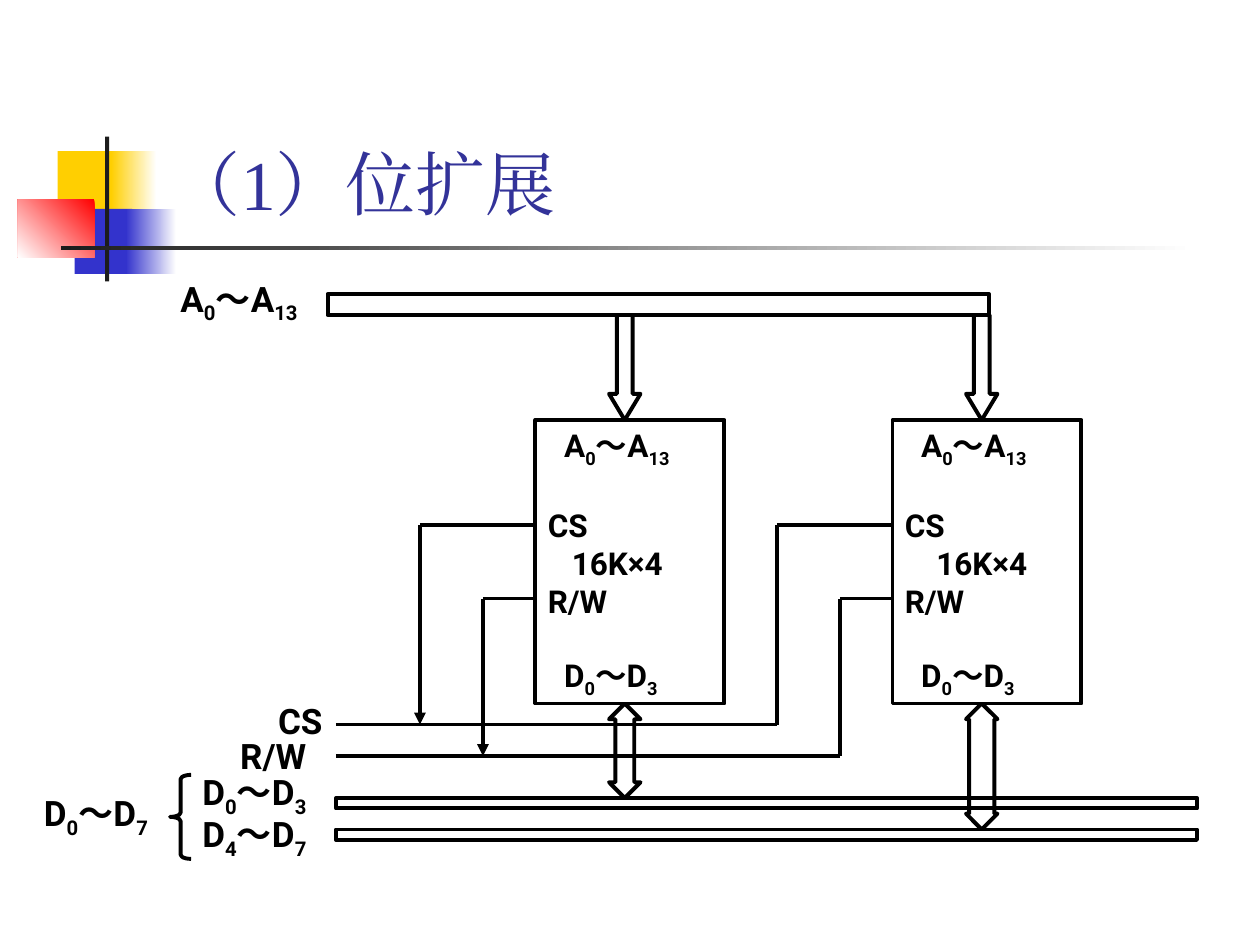
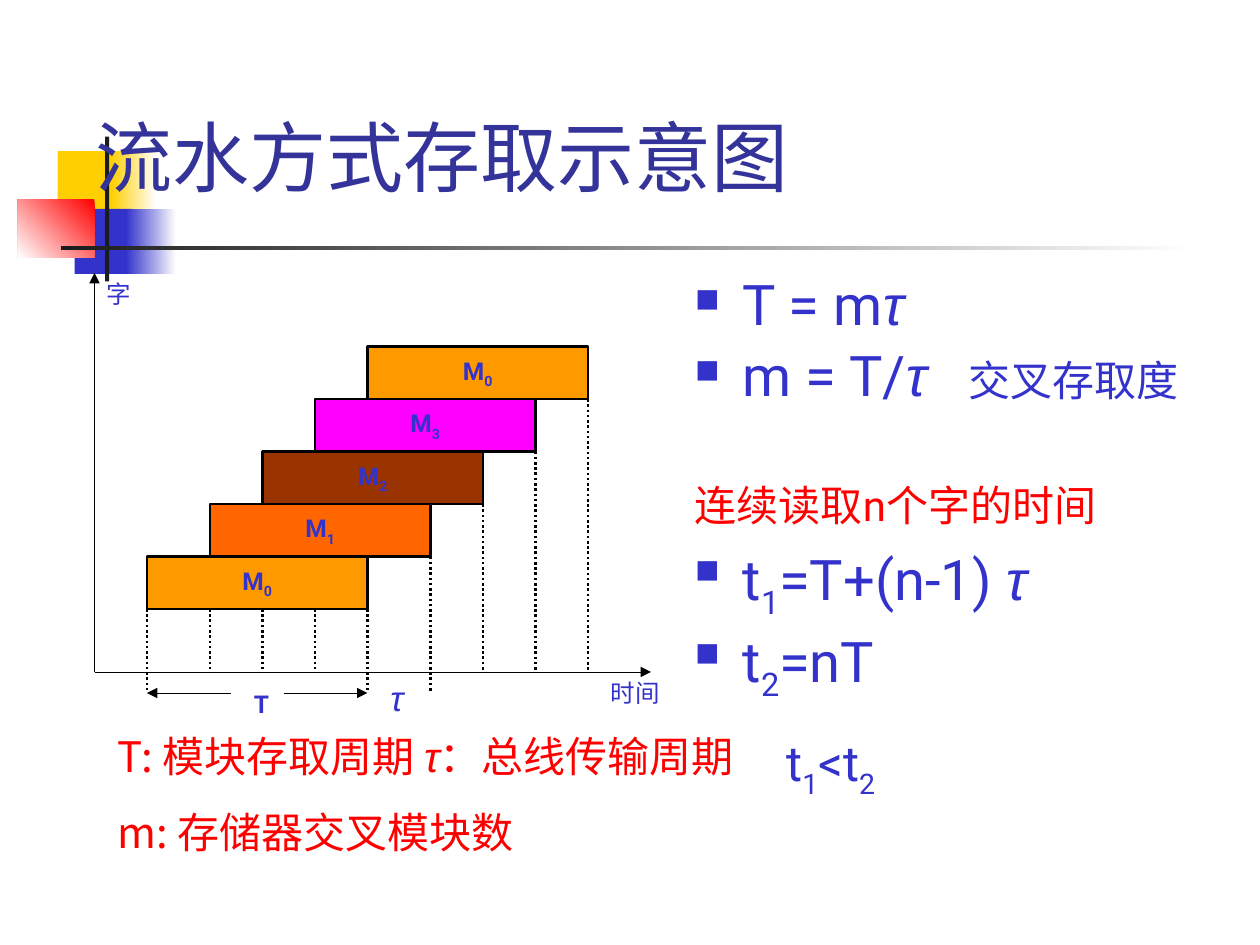
from lxml import etree
from pptx import Presentation
from pptx.dml.color import RGBColor
from pptx.enum.dml import MSO_LINE
from pptx.enum.shapes import MSO_CONNECTOR, MSO_SHAPE
from pptx.enum.text import MSO_ANCHOR, PP_ALIGN
from pptx.oxml.ns import qn
from pptx.util import Inches, Pt

RECT, DOWN, UP_DOWN = MSO_SHAPE.RECTANGLE, MSO_SHAPE.DOWN_ARROW, MSO_SHAPE.UP_DOWN_ARROW
BRACE, LINE, TEXT = MSO_SHAPE.LEFT_BRACE, "line", "text"
TOP, MIDDLE, BOTTOM = MSO_ANCHOR.TOP, MSO_ANCHOR.MIDDLE, MSO_ANCHOR.BOTTOM
CENTER, DOTTED = PP_ALIGN.CENTER, MSO_LINE.ROUND_DOT

COLORS = {
    "black": "000000", "white": "FFFFFF", "ink": "1C1C1C", "title": "333399",
    "blue": "3333CC", "yellow": "FFCF01", "red": "FF0000", "orange": "FF9900",
    "deep orange": "FF6600", "brown": "993300", "magenta": "FF00FF",
}
CELL = Inches(1) / 12  # the slide is a grid of 120 columns and 90 rows

prs = Presentation()
prs.slide_width, prs.slide_height = int(120 * CELL), int(90 * CELL)


def draw(slide, kind, x, y, w, h, fill=None, fade=None, angle=180, line=None,
         dash=None, arrow=False, adjust=()):
    """Place a shape or text box at x, y with size w, h; a line runs by w, h."""
    x, y, w, h = (round(n * CELL) for n in (x, y, w, h))
    if kind == TEXT:
        return slide.shapes.add_textbox(x, y, w, h)
    if kind == LINE:
        item = slide.shapes.add_connector(MSO_CONNECTOR.STRAIGHT, x, y, x + w, y + h)
        etree.SubElement(item._element.spPr, qn("a:effectLst"))
    else:
        item = slide.shapes.add_shape(kind, x, y, w, h)
        item.shadow.inherit = False
        for i, value in enumerate(adjust):
            item.adjustments[i] = value
        if fade:
            item.fill.gradient()
            item.fill.gradient_angle = angle
            for stop, name in zip(item.fill.gradient_stops, fade):
                stop.color.rgb = RGBColor.from_string(COLORS[name])
        elif fill:
            item.fill.solid()
            item.fill.fore_color.rgb = RGBColor.from_string(COLORS[fill])
        else:
            item.fill.background()
    if line:
        item.line.color.rgb = RGBColor.from_string(COLORS["black"])
        item.line.width = Pt(line)
        if dash:
            item.line.dash_style = dash
        if arrow:
            etree.SubElement(item.line._get_or_add_ln(), qn("a:tailEnd"), type="triangle")
    else:
        item.line.fill.background()
    return item


def write(place, text, size=20, color="black", font="Roboto", bold=False, align=None,
          anchor=TOP, before=0, spacing=None, indent=0, bullet=False, tail=""):
    """Add one paragraph; _x_ is a subscript, τ is italic, tail is smaller text."""
    frame = place.text_frame
    frame.word_wrap, frame.vertical_anchor = True, anchor
    para = frame.add_paragraph() if frame.text else frame.paragraphs[0]
    para.alignment = align or PP_ALIGN.LEFT
    para.space_before = Pt(before)
    if spacing:
        para.line_spacing = spacing
    props = para._p.get_or_add_pPr()
    props.set("marL", str(Inches(indent)))
    props.set("indent", str(Inches(-indent if bullet else 0)))
    if bullet:
        tint = etree.SubElement(props, qn("a:buClr"))
        etree.SubElement(tint, qn("a:srgbClr"), val=COLORS["blue"])
        etree.SubElement(props, qn("a:buSzPct"), val="60000")
        etree.SubElement(props, qn("a:buChar"), char="■")
    pieces = [(piece, size, i % 2) for i, part in enumerate(text.split("_"))
              for piece in part.replace("τ", "|τ|").split("|")]
    for piece, points, lowered in pieces + [(tail, 24, 0)]:
        if not piece:
            continue
        run = para.add_run()
        run.text = piece
        run.font.size, run.font.bold = Pt(points), bold
        run.font.italic = piece == "τ"
        run.font.name = "Arial" if piece == "τ" else font
        run.font.color.rgb = RGBColor.from_string(COLORS[color])
        run_props = run._r.get_or_add_rPr()
        etree.SubElement(run_props, qn("a:ea"), typeface=run.font.name)
        if lowered:
            run_props.set("baseline", "-25000")


# Shared decoration and titles
TITLES = [
    ("（1）位扩展", (15.1, 2.8, 102.2, 19.2), 40, "Times New Roman", BOTTOM),
    ("流水方式存取示意图", (7.9, 6.8, 105, 16), 44, "Roboto", MIDDLE),
]
DECORATION = [
    ((5.5, 14.4, 5.8, 6.2), {"fill": "yellow"}),
    ((10.6, 14.4, 4.3, 6.2), {"fade": ("white", "yellow")}),
    ((7.1, 19.9, 5.5, 6.2), {"fill": "blue"}),
    ((12, 19.9, 4.8, 6.2), {"fade": ("white", "blue")}),
    ((1.7, 19, 7.3, 5.5), {"fade": ("red", "white"), "angle": 225}),
    ((10, 13, 0.4, 13.8), {"fill": "ink"}),
    ((5.8, 23.4, 108, 0.4), {"fade": ("white", "ink")}),
]
slides = []
for title, title_box, size, font, anchor in TITLES:
    slide = prs.slides.add_slide(prs.slide_layouts[6])
    for area, paint in DECORATION:
        draw(slide, RECT, *area, **paint)
    write(draw(slide, TEXT, *title_box), title, size=size, color="title", font=font,
          anchor=anchor)
    slides.append(slide)
expansion, pipeline = slides

# Slide 1: two memory chips with their address and data arrows
CHIPS = [(51, 0.19, 9, 0.6), (85, 0.25, 12, 0.8)]  # column, indent, arrow height, head
for column, capacity_indent, reach, head in CHIPS:
    chip = draw(expansion, RECT, column, 40, 18, 27, line=2.25)
    for pin, indent, before in [("A_0_～A_13_", 0.13, 0), ("CS", 0, 21),
                                ("16K×4", capacity_indent, 0), ("R/W", 0, 0),
                                ("D_0_～D_3_", 0.13, 21)]:
        write(chip, pin, size=18, bold=True, indent=indent, before=before)
    draw(expansion, DOWN, column + 7, 30, 3, 10, line=2.25, adjust=(0.5, 0.83))
    draw(expansion, UP_DOWN, column + 7, 67, 3, reach, line=2.25, adjust=(0.5, head))

# Address bus and the two halves of the data bus
for bus in [(31.2, 28, 63, 2), (32, 76, 82, 1), (32, 79, 82, 1)]:
    draw(expansion, RECT, *bus, line=2.25)

# Control wires: pin row, bus row, first drop column, second drop column
for pin_row, bus_row, first_drop, second_drop in [(50, 69, 40, 74), (57, 72, 46, 80)]:
    depth = bus_row - pin_row
    draw(expansion, LINE, 32, bus_row, second_drop - 32, 0, line=2.25)
    for drop, chip_column, arrow in [(first_drop, 51, True), (second_drop, 85, False)]:
        draw(expansion, LINE, drop, pin_row, chip_column - drop, 0, line=2.25)
        draw(expansion, LINE, drop, pin_row, 0, depth, line=2.25, arrow=arrow)

# Signal names
draw(expansion, BRACE, 16.2, 73.8, 2, 8, line=2.25, adjust=(0.2, 0.5))
for signal, x, y, width in [
    ("D_0_～D_3_", 18.1, 72.8, 18), ("D_4_～D_7_", 18.1, 76.8, 18),
    ("D_0_～D_7_", 3, 74.8, 18), ("R/W", 21.7, 69.4, 11.8),
    ("CS", 25.3, 66, 8), ("A_0_～A_13_", 16, 25.8, 18),
]:
    write(draw(expansion, TEXT, x, y, width, 5.5), signal, bold=True)

# Slide 2: module accesses, each one row higher and one step later
MODULES = [("M_0_", 14, "orange"), ("M_1_", 20, "deep orange"), ("M_2_", 25, "brown"),
           ("M_3_", 30, "magenta"), ("M_0_", 35, "orange")]
for step, (module, start, color) in enumerate(MODULES):
    row = 53 - 5 * step
    bar = draw(pipeline, RECT, start, row, 21, 5, fill=color, line=1.5)
    write(bar, module, size=14, color="blue", bold=True, align=CENTER, anchor=MIDDLE)
    foot = 66 if start in (14, 35) else 64
    draw(pipeline, LINE, start, 58, 0, foot - 58, line=1.5, dash=DOTTED)
    if step:
        foot = 66 if step == 1 else 64
        draw(pipeline, LINE, start + 21, row + 5, 0, foot - row - 5, line=1.5, dash=DOTTED)

# Axes and the span of one period
for x, y, run_x, run_y in [(9, 64, 53, 0), (9, 64, 0, -38), (22, 66, -8, 0), (27, 66, 8, 0)]:
    draw(pipeline, LINE, x, y, run_x, run_y, line=0.25, arrow=True)
for label, x, y, size, bold in [("T", 23, 65, 14, True), ("τ", 36, 63.8, 20, False),
                                ("时间", 57, 64, 14, False), ("字", 9, 26, 14, False)]:
    write(draw(pipeline, TEXT, x, y, 9, 4), label, size=size, color="blue", bold=bold)

# Formulas
formulas = draw(pipeline, TEXT, 65, 25.8, 53, 44)
for formula, before, tail in [("T = mτ", 0, ""), ("m = T/τ", 6, "　交叉存取度"),
                              ("连续读取n个字的时间", 44, ""),
                              ("t_1_=T+(n-1) τ", 8, ""), ("t_2_=nT", 8, "")]:
    heading = formula.startswith("连续")
    write(formulas, formula, size=24 if heading else 32, color="red" if heading else "blue",
          before=before, spacing=0.9, indent=0 if heading else 0.38,
          bullet=not heading, tail=tail)
write(draw(pipeline, TEXT, 73.7, 69.8, 36.8, 7), "t_1_<t_2_", size=28, color="blue",
      spacing=0.8)

# Legend
legend = draw(pipeline, TEXT, 10, 69, 71, 13.3)
for meaning, before in [("T: 模块存取周期 τ：总线传输周期", 0), ("m: 存储器交叉模块数", 15)]:
    write(legend, meaning, size=24, color="red", font="Noto Sans CJK JP", before=before,
          spacing=Pt(28.5))

prs.save("out.pptx")
